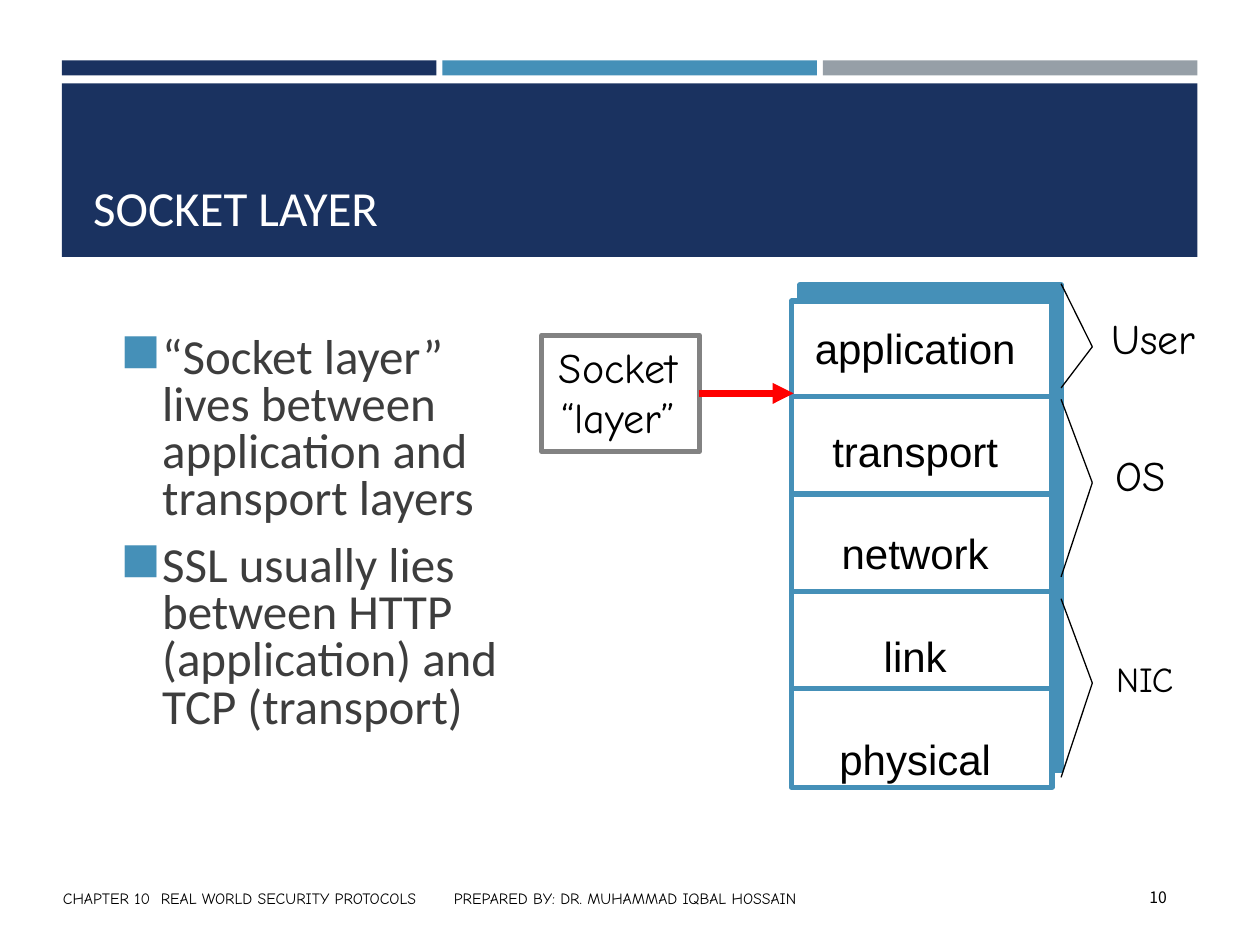
from dataclasses import dataclass

from lxml.etree import SubElement
from pptx import Presentation
from pptx.dml.color import RGBColor
from pptx.enum.shapes import MSO_CONNECTOR, MSO_SHAPE
from pptx.enum.text import MSO_ANCHOR, PP_ALIGN
from pptx.oxml.ns import qn
from pptx.util import Cm, Pt


@dataclass(frozen=True)
class Theme:
    navy: str = "1A3260"
    blue: str = "4590B8"
    steel: str = "969FA7"
    gray: str = "828282"
    ink: str = "3D3D3D"
    black: str = "000000"
    white: str = "FFFFFF"
    red: str = "FF0000"
    head: int = 28
    label: int = 24
    small: int = 20
    foot: int = 9
    sans: str = "Calibri"
    plain: str = "Arial"
    hand: str = "Comic Neue"
    digit: str = "Noto Sans CJK KR"


@dataclass(frozen=True)
class Box:
    left: float
    top: float
    width: float
    height: float

    def cm(self) -> list:
        return [Cm(v) for v in (self.left, self.top, self.width, self.height)]


@dataclass(frozen=True)
class Style:
    size: int
    font: str
    color: str
    align: PP_ALIGN = PP_ALIGN.LEFT
    anchor: MSO_ANCHOR = MSO_ANCHOR.TOP


@dataclass(frozen=True)
class Brace:
    top: float
    tip: float
    base: float
    text: str
    box: Box
    size: int


T = Theme()


def apply(obj, vals: dict) -> None:
    for key, val in vals.items():
        setattr(obj, key, val)


def rgb(code: str) -> RGBColor:
    return RGBColor.from_string(code)


def write(shape, lines: list, style: Style, para: dict | None = None) -> None:
    frame = shape.text_frame
    apply(frame, {"word_wrap": True, "vertical_anchor": style.anchor})
    for i, line in enumerate(lines):
        p = frame.add_paragraph() if i else frame.paragraphs[0]
        p.alignment = style.align
        apply(p, para or {})
        if i == 0:
            p.space_before = Pt(0)
        run = p.add_run()
        run.text = line
        apply(run.font, {"size": Pt(style.size), "name": style.font})
        run.font.color.rgb = rgb(style.color)


def add_text(slide, box: Box, lines: list, style: Style,
             para: dict | None = None):
    shape = slide.shapes.add_textbox(*box.cm())
    write(shape, lines, style, para)
    return shape


def add_rect(slide, box: Box, fill: str | None, line: str | None = None):
    shape = slide.shapes.add_shape(MSO_SHAPE.RECTANGLE, *box.cm())
    shape.shadow.inherit = False
    if fill:
        shape.fill.solid()
        shape.fill.fore_color.rgb = rgb(fill)
    else:
        shape.fill.background()
    if line:
        shape.line.color.rgb = rgb(line)
        shape.line.width = Pt(3)
    else:
        shape.line.fill.background()
    return shape


def add_line(slide, start: tuple, end: tuple, color: str, width: float):
    ends = [Cm(v) for v in (*start, *end)]
    line = slide.shapes.add_connector(MSO_CONNECTOR.STRAIGHT, *ends)
    line.line.color.rgb = rgb(color)
    line.line.width = Pt(width)
    SubElement(line._element.spPr, qn("a:effectLst"))
    return line


def add_bullet(p) -> None:
    props = p._p.get_or_add_pPr()
    apply_in = {"marL": Cm(0.84), "indent": -Cm(0.84)}
    for key, val in apply_in.items():
        props.set(key, str(val))
    tint = SubElement(props, qn("a:buClr"))
    SubElement(tint, qn("a:srgbClr"), val=T.blue)
    SubElement(props, qn("a:buChar"), char="◼")


def add_tab(p, pos: int) -> None:
    stops = SubElement(p._p.get_or_add_pPr(), qn("a:tabLst"))
    SubElement(stops, qn("a:tab"), pos=str(pos), algn="l")


def main() -> None:
    deck = Presentation()
    apply(deck, {"slide_width": Cm(25.4), "slide_height": Cm(19.05)})
    slide = deck.slides.add_slide(deck.slide_layouts[6])

    # Top bars and title band
    for i, color in enumerate((T.navy, T.blue, T.steel)):
        add_rect(slide, Box(1.25 + 7.67 * i, 1.22, 7.55, 0.3), color)
    add_rect(slide, Box(1.25, 1.68, 22.89, 3.5), T.navy)
    add_text(slide, Box(1.63, 1.9, 22.2, 3), ["SOCKET LAYER"],
             Style(T.head, T.sans, T.white, anchor=MSO_ANCHOR.BOTTOM))

    # Bullet points
    points = [
        "“Socket layer” lives between application and transport layers",
        "SSL usually lies between HTTP (application) and TCP (transport)",
    ]
    body = add_text(slide, Box(2.18, 5.16, 8.51, 11.25), points,
                    Style(T.head, T.sans, T.ink, anchor=MSO_ANCHOR.MIDDLE),
                    {"line_spacing": 0.8, "space_before": Pt(11.6)})
    for p in body.text_frame.paragraphs:
        add_bullet(p)

    # Footer and page number
    foot = add_text(slide, Box(1.02, 17.6, 19.56, 1.02),
                    ["CHAPTER 10  REAL WORLD SECURITY PROTOCOLS\t"
                     "PREPARED BY: DR. MUHAMMAD IQBAL HOSSAIN"],
                    Style(T.foot, T.hand, T.black, anchor=MSO_ANCHOR.MIDDLE))
    add_tab(foot.text_frame.paragraphs[0], Cm(7.88))
    add_text(slide, Box(21.64, 17.58, 2.13, 1.02), ["10"],
             Style(T.foot, T.digit, T.black, PP_ALIGN.RIGHT,
                   MSO_ANCHOR.MIDDLE))

    # Protocol stack with its offset backing
    add_rect(slide, Box(16.13, 5.74, 5.26, 9.8), T.blue, T.blue)
    add_rect(slide, Box(15.95, 6.07, 5.26, 9.8), T.white, T.blue)
    layers = ["application", "transport", "network", "link", "physical"]
    add_text(slide, Box(16, 6.37, 4.9, 9.5), layers,
             Style(T.label, T.plain, T.black, PP_ALIGN.CENTER),
             {"space_before": Pt(30)})
    for i in range(len(layers) - 1):
        y = 8 + 1.96 * i
        add_line(slide, (15.93, y), (21.16, y), T.blue, 3)

    # Socket box and its arrow
    socket = add_rect(slide, Box(10.92, 6.76, 3.18, 2.34), None, T.gray)
    apply(socket.text_frame, {"margin_left": Cm(0.1), "margin_right": Cm(0.2)})
    write(socket, ["Socket", "“layer”"],
          Style(T.label, T.hand, T.black, PP_ALIGN.CENTER))
    arrow = add_line(slide, (14.1, 7.93), (16, 7.93), T.red, 4)
    arrow.begin_connect(socket, 3)
    SubElement(arrow.line._get_or_add_ln(), qn("a:tailEnd"), type="triangle")

    # Braces that show where each layer runs
    braces = [
        Brace(5.72, 6.99, 7.82, "User", Box(22.15, 6.17, 2.41, 1.45), T.label),
        Brace(8.05, 9.73, 11.63, "OS", Box(22.23, 8.94, 1.78, 1.45), T.label),
        Brace(12.07, 13.77, 15.67, "NIC", Box(22.25, 13.13, 1.88, 1.24),
              T.small),
    ]
    for b in braces:
        tip = (22.02, b.tip)
        add_line(slide, (21.39, b.top), tip, T.black, 0.75)
        add_line(slide, tip, (21.39, b.base), T.black, 0.75)
        add_text(slide, b.box, [b.text], Style(b.size, T.hand, T.black))

    deck.save("out.pptx")


if __name__ == "__main__":
    main()
